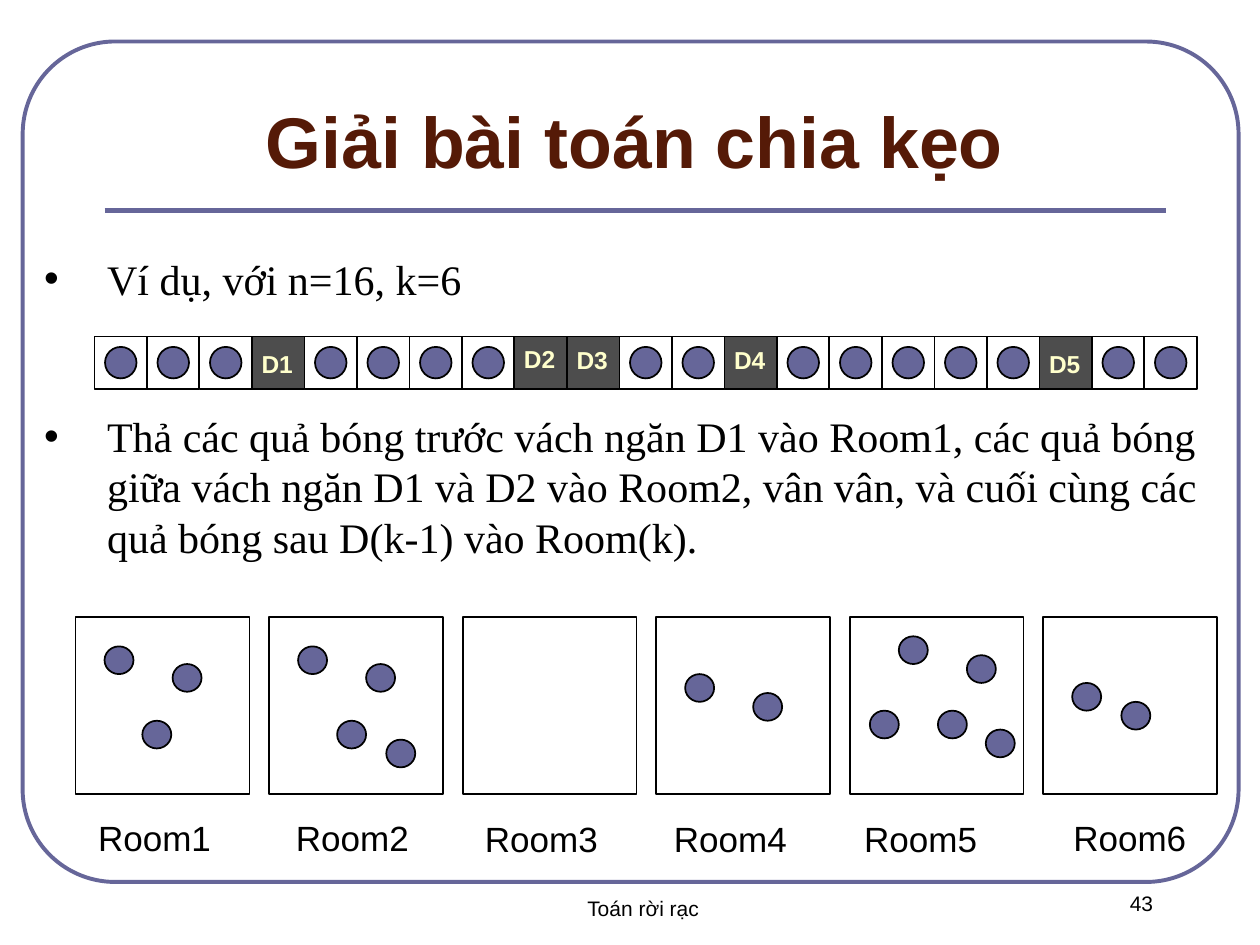
from lxml.etree import SubElement
from pptx import Presentation
from pptx.dml.color import RGBColor
from pptx.enum.shapes import MSO_CONNECTOR as Connector, MSO_SHAPE as Shape
from pptx.enum.text import MSO_ANCHOR as Anchor, MSO_AUTO_SIZE as AutoSize, PP_ALIGN as Align
from pptx.oxml.ns import qn
from pptx.util import Inches, Pt

COLORS = {"accent": "666699", "title": "551A07", "ink": "000000",
          "paper": "FFFFFF", "divider": "4D4D4D", "divider_label": "FFFFCC"}

TITLE = "Giải bài toán chia kẹo"
BULLETS = [
    ("Ví dụ, với n=16, k=6", 0),
    ("Thả các quả bóng trước vách ngăn D1 vào Room1, các quả bóng giữa vách ngăn D1 và D2 "
     "vào Room2, vân vân, và cuối cùng các quả bóng sau D(k-1) vào Room(k).", 61),
]
FOOTER = ("Toán rời rạc", 2.62, 7.06, 4.97)
PAGE_NUMBER = ("43", 8.43, 7.02, 1.26)

STRIP = "ooo|oooo||oo|ooooo|oo"
DIVIDER_LABELS = [("D1", 2.77), ("D2", 2.73), ("D3", 2.74), ("D4", 2.74), ("D5", 2.77)]
ROOMS = [
    ("Room1", 0.68, 6.43, [(0.23, 0.23), (0.77, 0.37), (0.53, 0.82)]),
    ("Room2", 2.25, 6.43, [(0.23, 0.23), (0.77, 0.37), (0.54, 0.82), (0.93, 0.97)]),
    ("Room3", 3.75, 6.44, []),
    ("Room4", 5.25, 6.44, [(0.23, 0.45), (0.77, 0.6)]),
    ("Room5", 6.76, 6.44, [(0.39, 0.15), (0.93, 0.3), (0.7, 0.74), (1.08, 0.89), (0.16, 0.74)]),
    ("Room6", 8.42, 6.43, [(0.23, 0.52), (0.62, 0.67)]),
]

STRIP_LEFT, STRIP_TOP, CELL = 0.75, 2.67, 5 / 12
BALL, BALL_INSET = 0.25, 1 / 12
ROOM_LEFT, ROOM_TOP, ROOM_STEP = 0.6, 4.9, 1.536
ROOM_WIDTH, ROOM_HEIGHT = 1.38, 1.4


def color(name):
    return RGBColor.from_string(COLORS[name])


def place(part, left, top, width, height):
    part.left, part.top = Inches(left), Inches(top)
    part.width, part.height = Inches(width), Inches(height)


def style(paragraph, size, ink="ink", face="Arial", bold=False, align=Align.CENTER):
    paragraph.alignment = align
    font = paragraph.font
    font.name, font.size, font.bold = face, Pt(size), bold
    font.color.rgb = color(ink)


def add_outlined(slide, kind, box, fill=None, line="ink", weight=1):
    outlined = slide.shapes.add_shape(kind, *map(Inches, box))
    outlined.shadow.inherit = False
    if fill:
        outlined.fill.solid()
        outlined.fill.fore_color.rgb = color(fill)
    else:
        outlined.fill.background()
    outlined.line.color.rgb = color(line)
    outlined.line.width = Pt(weight)
    return outlined


def add_label(slide, text, box, size, margins=(0.1, 0.05), **look):
    label = slide.shapes.add_textbox(*map(Inches, box))
    frame = label.text_frame
    frame.word_wrap = True
    frame.margin_left = frame.margin_right = Inches(margins[0])
    frame.margin_top = frame.margin_bottom = Inches(margins[1])
    frame.text = text
    style(frame.paragraphs[0], size, **look)


def add_frame(slide):
    border = add_outlined(slide, Shape.ROUNDED_RECTANGLE, (0.18, 0.33, 9.65, 6.67),
                          line="accent", weight=2.25)
    border.adjustments[0] = 0.11
    rule = slide.shapes.add_connector(Connector.STRAIGHT, Inches(0.83), Inches(1.67),
                                      Inches(9.25), Inches(1.67))
    rule.line.color.rgb = color("accent")
    rule.line.width = Pt(3)
    SubElement(rule._element.spPr, qn("a:effectLst"))
    for text, left, top, width in (PAGE_NUMBER, FOOTER):
        add_label(slide, text, (left, top, width, 0.5), 12)


def fill_title(title):
    place(title, 0.83, 0.42, 8.42, 1.08)
    frame = title.text_frame
    frame.text = TITLE
    frame.auto_size = AutoSize.NONE
    frame.vertical_anchor = Anchor.BOTTOM
    style(frame.paragraphs[0], 41, ink="title", bold=True)


def fill_body(body):
    place(body, 0.25, 1.96, 9.75, 2.56)
    frame = body.text_frame
    frame.text = "\n".join(text for text, gap in BULLETS)
    frame.auto_size = AutoSize.NONE
    for paragraph, (text, gap) in zip(frame.paragraphs, BULLETS):
        props = paragraph._p.get_or_add_pPr()
        props.set("marL", str(Inches(0.5)))
        props.set("indent", str(Inches(-0.5)))
        SubElement(props, qn("a:buChar"), char="•")
        paragraph.space_before = Pt(gap)
        style(paragraph, 24, face="Times New Roman", align=Align.LEFT)


def add_strip(slide):
    labels = iter(DIVIDER_LABELS)
    for column, mark in enumerate(STRIP):
        left = STRIP_LEFT + column * CELL
        is_ball = mark == "o"
        add_outlined(slide, Shape.RECTANGLE, (left, STRIP_TOP, CELL, CELL),
                     "paper" if is_ball else "divider")
        if is_ball:
            add_outlined(slide, Shape.OVAL,
                         (left + BALL_INSET, STRIP_TOP + BALL_INSET, BALL, BALL), "accent")
        else:
            text, top = next(labels)
            add_label(slide, text, (left + 0.04, top, 0.32, 0.23), 14,
                      margins=(0.01, 0), ink="divider_label", bold=True)


def add_rooms(slide):
    for number, (name, label_left, label_top, balls) in enumerate(ROOMS):
        left = ROOM_LEFT + number * ROOM_STEP
        add_outlined(slide, Shape.RECTANGLE, (left, ROOM_TOP, ROOM_WIDTH, ROOM_HEIGHT), "paper")
        for across, down in balls:
            add_outlined(slide, Shape.OVAL, (left + across, ROOM_TOP + down, 0.23, 0.22), "accent")
        add_label(slide, name, (label_left, label_top, 1.2, 0.44), 20, align=Align.LEFT)


def main():
    deck = Presentation()
    deck.slide_width, deck.slide_height = Inches(10), Inches(7.5)
    slide = deck.slides.add_slide(deck.slide_layouts[1])
    add_frame(slide)
    fill_title(slide.shapes.title)
    fill_body(slide.placeholders[1])
    add_strip(slide)
    add_rooms(slide)
    deck.save("out.pptx")


if __name__ == "__main__":
    main()
